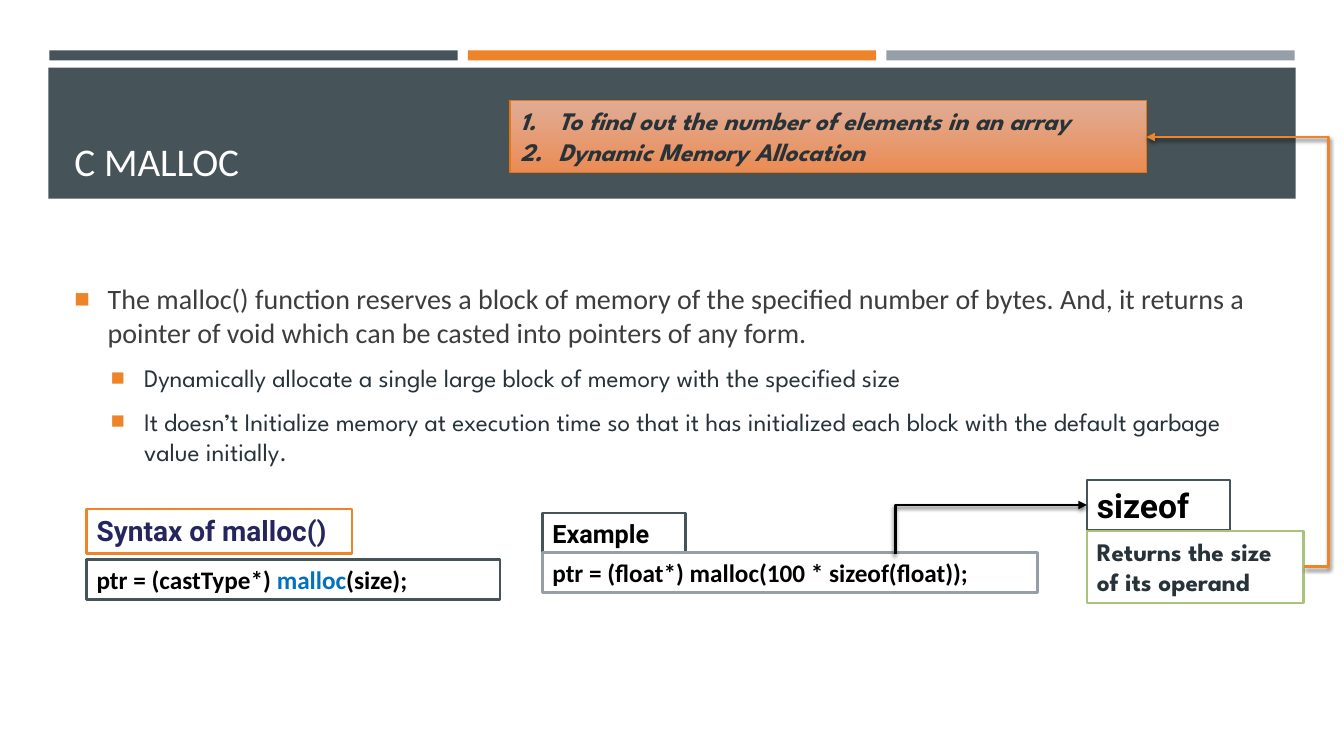
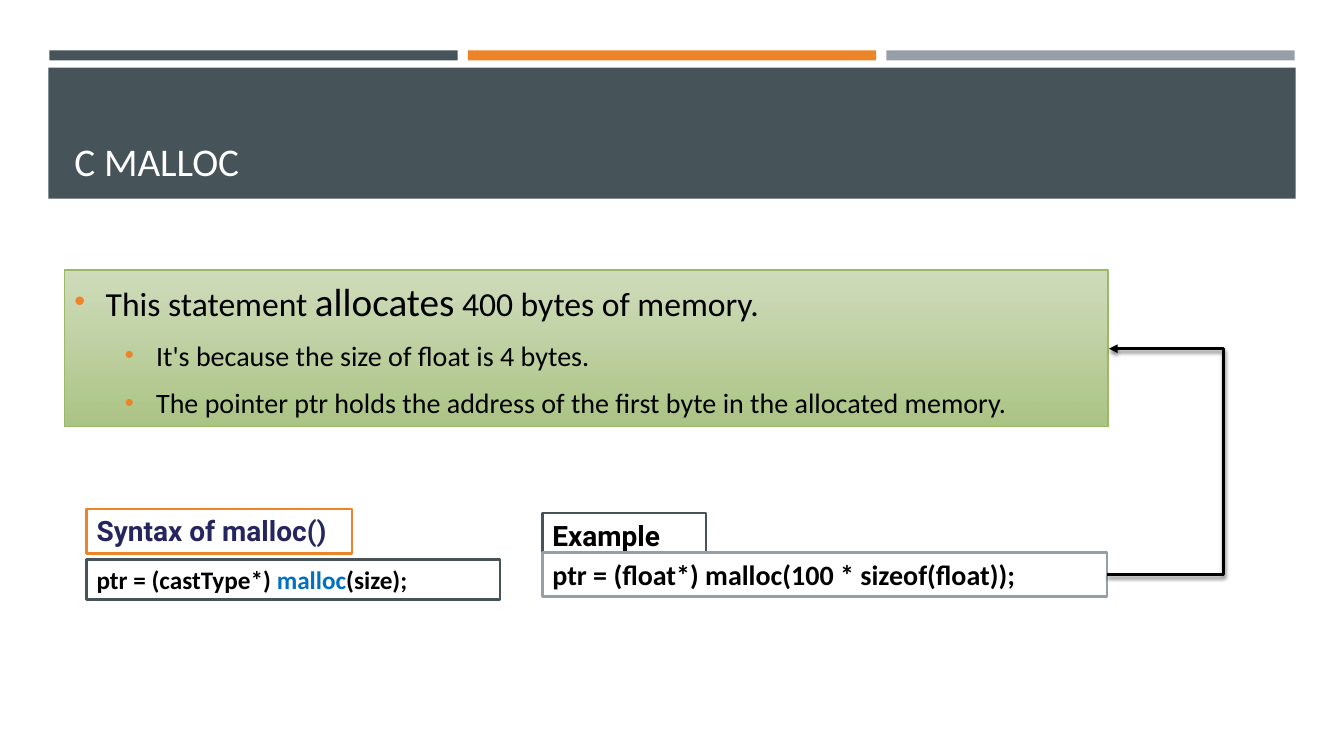
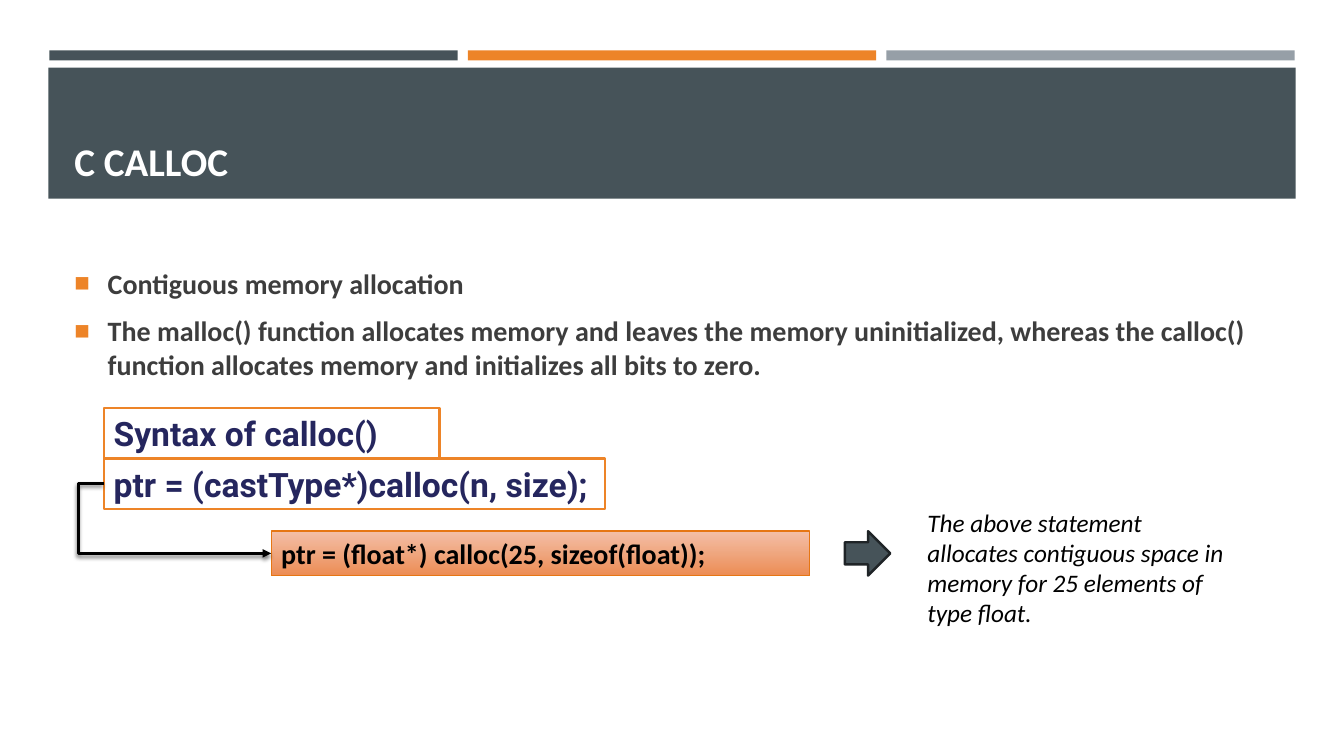
import pptx
import pptx.util
import pptx.dml.color
import pptx.enum.dml
import pptx.enum.shapes
import pptx.enum.text
import pptx.oxml.ns
from lxml import etree

PX = 9144  # EMU in one px; 100 px to the inch

THEME = {
    "color": {
        "slate": "465359", "orange": "ED8428", "gray": "969FA7", "green": "A9C37C",
        "white": "FFFFFF", "black": "000000", "navy": "25265E", "blue": "0070C0",
        "body": "3D3D3D", "ink": "273239", "edge": "1F2427",
        "peach": "F3B89D", "coral": "ED8C53", "rust": "E67613",
        "mint": "CAD9B4", "sage": "ACC485", "moss": "9BB966",
    },
    "size": {"title": 28, "large": 24, "medium": 20, "small": 18},
    "font": {"text": "Calibri", "note": "League Spartan", "head": "Roboto"},
}

# Frame: fill (one colour, or a top and bottom colour), line colour, line width
FRAMES = {
    "orange": ("white", "orange", 1.75),
    "slate": ("white", "slate", 1.75),
    "gray": ("white", "gray", 1.75),
    "green": ("white", "green", 1.75),
    "coral": (("peach", "coral"), "rust", 1),
    "sage": (("mint", "sage"), "moss", 1),
    "arrow": ("slate", "edge", 1.75),
}

# Paragraph style: level, indent in px, bullet
PARAS = {
    "plain": (0, 0, None),
    "number": (0, 38, "auto"),
    "square": (0, 33, "■"),
    "subsquare": (1, 33, "■"),
    "dot": (0, 31, "•"),
    "subdot": (1, 31, "•"),
}
LEFT_MARGIN = {"square": 33, "subsquare": 69, "dot": 31, "subdot": 81, "number": 38}


def look(font, size, color, **extra):
    return dict(font=font, size=size, color=color, **extra)


TITLE = look("text", "title", "white")
BODY = look("text", "medium", "body")
BODY_BOLD = look("text", "medium", "body", bold=True)
NOTE = look("note", "small", "ink")
NOTE_BOLD = look("note", "small", "ink", bold=True)
NOTE_STRONG = look("note", "small", "ink", bold=True, italic=True)
CODE = look("text", "small", "black", bold=True)
CODE_MEDIUM = look("text", "medium", "black", bold=True)
CODE_BLUE = look("text", "small", "blue", bold=True)
HEAD_NAVY = look("head", "medium", "navy", bold=True)
HEAD_NAVY_LARGE = look("head", "large", "navy", bold=True)
HEAD_SMALL = look("head", "small", "black", bold=True)
HEAD_MEDIUM = look("head", "medium", "black", bold=True)
HEAD_LARGE = look("head", "large", "black", bold=True)
FACT = look("text", "large", "black")
FACT_BIG = look("text", "title", "black")
FACT_SUB = look("text", "medium", "black")
REMARK = look("text", "small", "black", italic=True)


def line(text, style, para="plain"):
    return (para, [(text, style)])


# ---- Content: box = (place, frame, paragraphs); bend = (start, turn x, end, colour)
EXAMPLE_CODE = "ptr = (float*) malloc(100 * sizeof(float));"
MALLOC_SYNTAX = [
    ((86, 505, 263, 44), "orange", [line("Syntax of malloc()", HEAD_NAVY)]),
    ((86, 555, 410, 40), "slate", [
        ("plain", [("ptr = (castType*) ", CODE), ("malloc", CODE_BLUE), ("(size);", CODE)])]),
]

PAGES = [
    {
        "title": ("C MALLOC", TITLE),
        "body": ((64, 238, 1206, 266), [
            line("The malloc() function reserves a block of memory of the specified number of bytes. "
                 "And, it returns a pointer of void which can be casted into pointers of any form.",
                 BODY, "square"),
            line("Dynamically allocate a single large block of memory with the specified size",
                 NOTE, "subsquare"),
            line("It doesn’t Initialize memory at execution time so that it has initialized each "
                 "block with the default garbage value initially.", NOTE, "subsquare"),
        ]),
        "boxes": MALLOC_SYNTAX + [
            ((538, 509, 142, 40), "slate", [line("Example", HEAD_SMALL)]),
            ((538, 548, 491, 40), "gray", [line(EXAMPLE_CODE, CODE)]),
            ((1078, 476, 142, 50), "slate", [line("sizeof", HEAD_LARGE)]),
            ((1078, 527, 215, 71), "green", [line("Returns the size of its operand", NOTE_BOLD)]),
            ((506, 100, 631, 71), "coral", [
                line("To find out the number of elements in an array", NOTE_STRONG, "number"),
                line("Dynamic Memory Allocation", NOTE_STRONG, "number")]),
        ],
        "bends": [((888, 550), 888, (1078, 501), "black"),
                  ((1293, 562), 1318, (1137, 136), "orange")],
    },
    {
        "title": ("C MALLOC", TITLE),
        "boxes": MALLOC_SYNTAX + [
            ((538, 509, 162, 44), "slate", [line("Example", HEAD_MEDIUM)]),
            ((538, 548, 560, 44), "gray", [line(EXAMPLE_CODE, CODE_MEDIUM)]),
            ((64, 268, 1035, 155), "sage", [
                ("dot", [("This statement ", FACT), ("allocates", FACT_BIG),
                         (" 400 bytes of memory.", FACT)]),
                line("It's because the size of float is 4 bytes.", FACT_SUB, "subdot"),
                line("The pointer ptr holds the address of the first byte in the allocated memory.",
                     FACT_SUB, "subdot")]),
        ],
        "bends": [((1098, 570), 1213, (1100, 346), "black")],
    },
    {
        "title": ("C CALLOC", dict(TITLE, bold=True)),
        "body": ((64, 238, 1206, 166), [
            line("Contiguous memory allocation", BODY_BOLD, "square"),
            line("The malloc() function allocates memory and leaves the memory uninitialized, "
                 "whereas the calloc() function allocates memory and initializes all bits to zero.",
                 BODY_BOLD, "square"),
        ]),
        "boxes": [
            ((103, 405, 333, 50), "orange", [line("Syntax of calloc()", HEAD_NAVY_LARGE)]),
            ((103, 455, 497, 50), "orange",
             [line("ptr = (castType*)calloc(n, size);", HEAD_NAVY_LARGE)]),
            ((269, 527, 534, 44), "coral",
             [line("ptr = (float*) calloc(25, sizeof(float));", CODE_MEDIUM)]),
            ((910, 498, 320, 101), None,
             [line("The above statement allocates contiguous space in memory for 25 elements "
                   "of type float.", REMARK)]),
        ],
        "bends": [((103, 480), 78, (269, 549), "black")],
        "arrow": (838, 527, 45, 44),
    },
]

SHAPE = pptx.enum.shapes.MSO_SHAPE
ANCHOR = pptx.enum.text.MSO_ANCHOR
FIT = pptx.enum.text.MSO_AUTO_SIZE


# ---- Helpers
def emu(values):
    return [value * PX for value in values]


def rgb(name):
    return pptx.dml.color.RGBColor.from_string(THEME["color"][name])


def add_xml(parent, tag, **attributes):
    return etree.SubElement(parent, pptx.oxml.ns.qn(tag),
                            {key: str(value) for key, value in attributes.items()})


def paint(shape, fill, edge=None, width=0):
    shape.shadow.inherit = False
    if isinstance(fill, tuple):
        shape.fill.gradient()
        shape.fill.gradient_angle = 270
        for stop, color in zip(shape.fill.gradient_stops, fill):
            stop.color.rgb = rgb(color)
        first_stop = shape._element.spPr.find(".//" + pptx.oxml.ns.qn("a:srgbClr"))
        add_xml(first_stop, "a:alpha", val=90000)
    else:
        shape.fill.solid()
        shape.fill.fore_color.rgb = rgb(fill)
    if edge:
        shape.line.color.rgb = rgb(edge)
        shape.line.width = pptx.util.Pt(width)
    else:
        shape.line.fill.background()


def format_para(para, kind):
    level, indent, bullet = PARAS[kind]
    para.alignment = pptx.enum.text.PP_ALIGN.LEFT
    para.level = level
    if bullet is None:
        return
    props = para._p.get_or_add_pPr()
    props.set("marL", str(LEFT_MARGIN[kind] * PX))
    props.set("indent", str(-indent * PX))
    if bullet == "auto":
        add_xml(props, "a:buFont", typeface="+mj-lt")
        add_xml(props, "a:buAutoNum", type="arabicPeriod")
        return
    add_xml(add_xml(props, "a:spcBef"), "a:spcPct", val=20000)
    add_xml(add_xml(props, "a:spcAft"), "a:spcPts", val=600)
    add_xml(add_xml(props, "a:buClr"), "a:srgbClr", val=THEME["color"]["orange"])
    add_xml(props, "a:buSzPct", val=92000)
    add_xml(props, "a:buFont", typeface="Arial")
    add_xml(props, "a:buChar", char=bullet)


def write(box, paragraphs, anchor, fit):
    frame = box.text_frame
    for key, value in dict(word_wrap=True, vertical_anchor=anchor, auto_size=fit).items():
        setattr(frame, key, value)
    for index, (kind, spans) in enumerate(paragraphs):
        para = frame.add_paragraph() if index else frame.paragraphs[0]
        format_para(para, kind)
        for text, style in spans:
            span = para.add_run()
            span.text = text
            values = dict(name=THEME["font"][style["font"]],
                          size=pptx.util.Pt(THEME["size"][style["size"]]),
                          bold=style.get("bold", False), italic=style.get("italic", False))
            for key, value in values.items():
                setattr(span.font, key, value)
            span.font.color.rgb = rgb(style["color"])


def add_box(page, place, frame, paragraphs, anchor=ANCHOR.TOP, fit=FIT.SHAPE_TO_FIT_TEXT):
    if frame:
        box = page.shapes.add_shape(SHAPE.RECTANGLE, *emu(place))
        paint(box, *FRAMES[frame])
    else:
        box = page.shapes.add_textbox(*emu(place))
    write(box, paragraphs, anchor, fit)


def add_bend(page, start, turn, end, color):
    bend = page.shapes.add_connector(pptx.enum.shapes.MSO_CONNECTOR.ELBOW, *emu(start + end))
    bend.line.color.rgb = rgb(color)
    bend.line.width = pptx.util.Pt(2)
    props = bend._element.spPr
    share = round((turn - start[0]) / (end[0] - start[0]) * 100000)
    guides = props.find(".//" + pptx.oxml.ns.qn("a:avLst"))
    add_xml(guides, "a:gd", name="adj1", fmla=f"val {share}")
    add_xml(bend.line._get_or_add_ln(), "a:tailEnd", type="triangle")
    shadow = add_xml(add_xml(props, "a:effectLst"), "a:outerShdw", blurRad=38100, dist=25400,
                     dir=5400000, rotWithShape=0)
    add_xml(add_xml(shadow, "a:srgbClr", val=THEME["color"]["black"]), "a:alpha", val=55000)


def add_header(page, title):
    bar_left, bar_width, bar_gap = 49, 405, 10
    bands = [((bar_left + index * (bar_width + bar_gap), 50, bar_width, 10), color)
             for index, color in enumerate(("slate", "orange", "gray"))]
    for place, color in bands + [((48, 67, 1237, 130), "slate")]:
        paint(page.shapes.add_shape(SHAPE.RECTANGLE, *emu(place)), color)
    add_box(page, (64, 77, 1206, 111), None, [line(*title)], ANCHOR.BOTTOM, FIT.NONE)


def build_page(deck, content):
    page = deck.slides.add_slide(deck.slide_layouts[6])
    add_header(page, content["title"])
    if "body" in content:
        place, paragraphs = content["body"]
        add_box(page, place, None, paragraphs, ANCHOR.MIDDLE, FIT.NONE)
    for place, frame, paragraphs in content["boxes"]:
        anchor = ANCHOR.MIDDLE if frame == "sage" else ANCHOR.TOP
        add_box(page, place, frame, paragraphs, anchor)
    for bend in content["bends"]:
        add_bend(page, *bend)
    if "arrow" in content:
        arrow = page.shapes.add_shape(SHAPE.RIGHT_ARROW, *emu(content["arrow"]))
        paint(arrow, *FRAMES["arrow"])


def main():
    deck = pptx.Presentation()
    deck.slide_width, deck.slide_height = emu((1333, 750))
    for content in PAGES:
        build_page(deck, content)
    deck.save("out.pptx")


if __name__ == "__main__":
    main()
